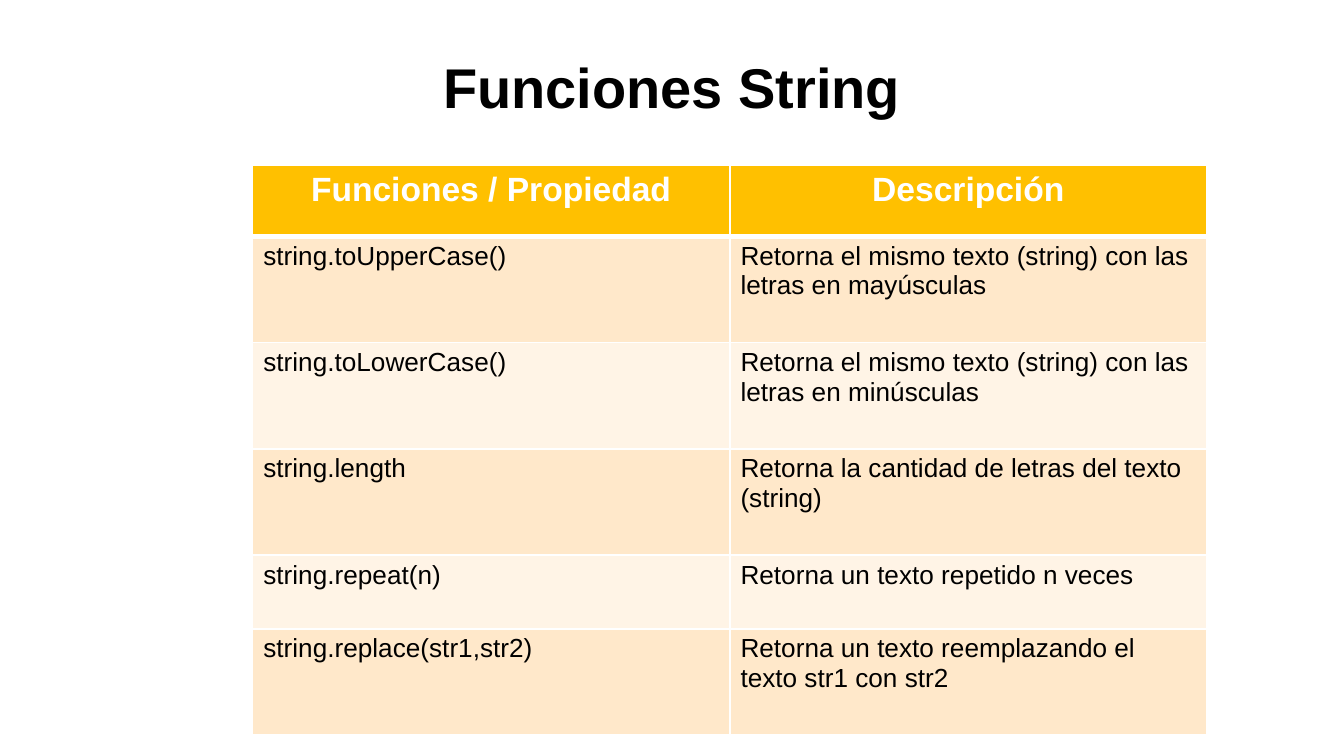
from lxml.etree import SubElement
from pptx import Presentation
from pptx.dml.color import RGBColor as RGB
from pptx.enum.text import PP_ALIGN as ALIGN
from pptx.oxml.ns import qn
from pptx.util import Inches, Pt

COLORS = {
    "text": "000000",
    "white": "FFFFFF",
    "header": "FFC000",
    "odd": "FFE8CA",
    "even": "FFF4E6",
}
ROWS = [
    ("Funciones / Propiedad", "Descripción"),
    ("string.toUpperCase()", "Retorna el mismo texto (string) con las letras en mayúsculas"),
    ("string.toLowerCase()", "Retorna el mismo texto (string) con las letras en minúsculas"),
    ("string.length", "Retorna la cantidad de letras del texto (string)"),
    ("string.repeat(n)", "Retorna un texto repetido n veces"),
    ("string.replace(str1,str2)", "Retorna un texto reemplazando el texto str1 con str2"),
]
HEIGHTS = [0.53, 0.79, 0.79, 0.79, 0.55, 0.79]
COL_WIDTH = 3.55


def style_paragraph(p, size, color, bold, align):
    p.alignment = align
    p.font.name = "Arial"
    p.font.size = Pt(size)
    p.font.bold = bold
    p.font.color.rgb = RGB.from_string(COLORS[color])


def add_border(cell, side, width):
    """Draw a white line on one side (L, R, T or B); call before filling the cell."""
    ln = SubElement(cell._tc.get_or_add_tcPr(), qn(f"a:ln{side}"), w=str(Pt(width)))
    SubElement(SubElement(ln, qn("a:solidFill")), qn("a:srgbClr"), val=COLORS["white"])


prs = Presentation()
prs.slide_width = Inches(10)
prs.slide_height = Inches(10) * 9 // 16  # 16:9
s = prs.slides.add_slide(prs.slide_layouts[6])

# Title
title = s.shapes.add_textbox(Inches(0), Inches(0.35), Inches(10), Inches(0.58))
tf = title.text_frame
tf.word_wrap = True
tf.margin_left = tf.margin_right = Inches(0.07)
tf.margin_top = tf.margin_bottom = Inches(0.04)
tf.text = "Funciones String"
style_paragraph(tf.paragraphs[0], 30, "text", True, ALIGN.CENTER)

# Function table
table = s.shapes.add_table(
    len(ROWS), 2, Inches(1.88), Inches(1.23), Inches(2 * COL_WIDTH), Inches(sum(HEIGHTS))
).table
for col in table.columns:
    col.width = Inches(COL_WIDTH)

for i, (texts, height) in enumerate(zip(ROWS, HEIGHTS)):
    table.rows[i].height = Inches(height)
    is_header = i == 0
    fill = "header" if is_header else "odd" if i % 2 else "even"
    for j, text in enumerate(texts):
        cell = table.cell(i, j)
        cell.margin_left = cell.margin_right = Inches(0.08)
        cell.margin_top = cell.margin_bottom = Inches(0.04)
        # The line under the header is thicker than the others
        widths = {"L": 1, "R": 1, "T": 3 if i == 1 else 1, "B": 3 if is_header else 1}
        for side, width in widths.items():
            add_border(cell, side, width)
        cell.fill.solid()
        cell.fill.fore_color.rgb = RGB.from_string(COLORS[fill])
        cell.text = text
        p = cell.text_frame.paragraphs[0]
        if is_header:
            style_paragraph(p, 18, "white", True, ALIGN.CENTER)
        else:
            style_paragraph(p, 14, "text", False, ALIGN.LEFT)

prs.save("out.pptx")
